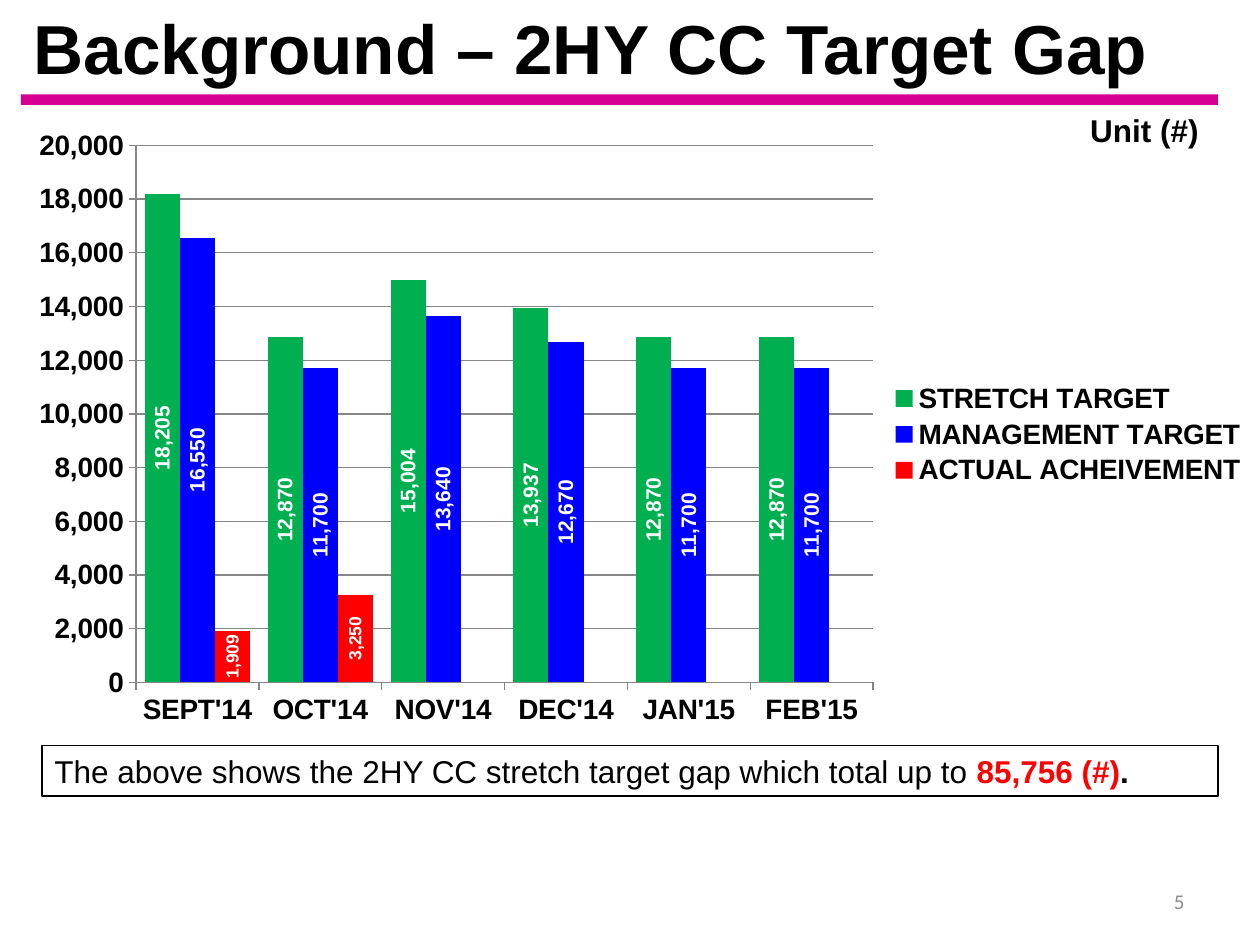
from lxml import etree
from pptx import Presentation
from pptx.chart.data import CategoryChartData
from pptx.dml.color import RGBColor
from pptx.enum.chart import XL_CHART_TYPE, XL_LABEL_POSITION, XL_LEGEND_POSITION, XL_TICK_MARK
from pptx.enum.shapes import MSO_SHAPE
from pptx.enum.text import MSO_ANCHOR, PP_ALIGN
from pptx.oxml.ns import qn
from pptx.util import Pt

COLUMNS = XL_CHART_TYPE.COLUMN_CLUSTERED
CENTER_LABEL = XL_LABEL_POSITION.CENTER
LEGEND_RIGHT = XL_LEGEND_POSITION.RIGHT
TICK_OUTSIDE, TICK_NONE = XL_TICK_MARK.OUTSIDE, XL_TICK_MARK.NONE
RECTANGLE = MSO_SHAPE.RECTANGLE
TOP, MIDDLE = MSO_ANCHOR.TOP, MSO_ANCHOR.MIDDLE
LEFT, CENTER, RIGHT = PP_ALIGN.LEFT, PP_ALIGN.CENTER, PP_ALIGN.RIGHT

# Content
TITLE = "Background – 2HY CC Target Gap"
UNIT = "Unit (#)"
PAGE_NUMBER = "5"
MONTHS = ["SEPT'14", "OCT'14", "NOV'14", "DEC'14", "JAN'15", "FEB'15"]
# Series: name, values, colour key, label size key
SERIES = [
    ("STRETCH TARGET", [18205, 12870, 15004, 13937, 12870, 12870], "stretch", "label"),
    ("MANAGEMENT TARGET", [16550, 11700, 13640, 12670, 11700, 11700], "management", "label"),
    ("ACTUAL ACHEIVEMENT", [1909, 3250, None, None, None, None], "red", "small_label"),
]
# Summary runs: text, colour key, bold
SUMMARY = [
    ("The above shows the 2HY CC stretch target gap which total up to ", "black", False),
    ("85,756 (#)", "red", True),
    (".", "black", True),
]

THEME = {
    "font": "Arial",
    "number_font": "Calibri",
    "colors": {name: RGBColor.from_string(value) for name, value in {
        "black": "000000", "white": "FFFFFF", "red": "FF0000", "rule": "D60093",
        "stretch": "00B050", "management": "0000FF", "gray": "8C8C8C", "grid": "868686",
    }.items()},
    "sizes": {"title": 39.6, "body": 18, "axis": 16, "label": 12, "small_label": 10, "page": 12},
}

# Places in points: left, top, width, height
PLACES = {
    "title": (12, 12, 708, 30),
    "rule": (12, 54, 684, 6),
    "summary": (24, 426, 672, 29),
    "page": (516, 500.5, 168, 28.75),
    "unit": (600, 60, 108, 29),
    "chart": (0, 66, 720, 364.5),
}
PLOT_LAYOUT = {"x": 0.108, "y": 0.047, "w": 0.585, "h": 0.842}  # shares of the chart


def place(part):
    return [Pt(length) for length in PLACES[part]]


def style_font(font, size, color="black", bold=True, name=THEME["font"]):
    font.name = name
    font.size = Pt(THEME["sizes"][size])
    font.bold = bold
    font.color.rgb = THEME["colors"][color]


def write(shape, runs, size, align=LEFT, anchor=TOP, name=THEME["font"]):
    frame = shape.text_frame
    frame.word_wrap = True
    frame.vertical_anchor = anchor
    paragraph = frame.paragraphs[0]
    paragraph.alignment = align
    for text, color, bold in runs:
        run = paragraph.add_run()
        run.text = text
        style_font(run.font, size, color, bold, name)


def add_rectangle(slide, part):
    rectangle = slide.shapes.add_shape(RECTANGLE, *place(part))
    rectangle.shadow.inherit = False
    return rectangle


def add_target_chart(slide):
    data = CategoryChartData(number_format="#,##0")
    data.categories = MONTHS
    for name, values, _, _ in SERIES:
        data.add_series(name, values)
    chart = slide.shapes.add_chart(COLUMNS, *place("chart"), data).chart
    chart.has_title = False
    style_font(chart.font, "body", bold=False, name=THEME["number_font"])

    # Legend
    chart.has_legend = True
    chart.legend.position = LEGEND_RIGHT
    chart.legend.include_in_layout = False
    style_font(chart.legend.font, "axis")

    # Axes and gridlines
    value_axis = chart.value_axis
    value_axis.minimum_scale, value_axis.maximum_scale = 0, 20000
    value_axis.major_unit = 2000
    value_axis.has_major_gridlines = True
    value_axis.tick_labels.number_format = "#,##0"
    value_axis.tick_labels.number_format_is_linked = False
    for axis in (chart.category_axis, value_axis):
        axis.major_tick_mark, axis.minor_tick_mark = TICK_OUTSIDE, TICK_NONE
        style_font(axis.tick_labels.font, "axis")
    for line in (chart.category_axis.format.line, value_axis.format.line,
                 value_axis.major_gridlines.format.line):
        line.color.rgb = THEME["colors"]["grid"]
        line.width = Pt(0.75)

    # Columns with upright labels
    plot = chart.plots[0]
    plot.gap_width, plot.overlap = 50, 0
    plot.vary_by_categories = False
    for series, (_, _, color, label_size) in zip(plot.series, SERIES):
        series.format.fill.solid()
        series.format.fill.fore_color.rgb = THEME["colors"][color]
        series.invert_if_negative = False
        labels = series.data_labels
        labels.show_value = True
        labels.position = CENTER_LABEL
        labels.number_format = "#,##0"
        labels.number_format_is_linked = False
        style_font(labels.font, label_size, "white")
        body = labels._element.find(".//" + qn("a:bodyPr"))
        body.set("rot", "-5400000")
        body.set("vert", "horz")

    # Fixed inner plot area
    plot_area = chart._chartSpace.find(".//" + qn("c:plotArea"))
    for old_layout in plot_area.findall(qn("c:layout")):
        plot_area.remove(old_layout)
    layout = etree.Element(qn("c:layout"))
    manual = etree.SubElement(layout, qn("c:manualLayout"))
    settings = [("layoutTarget", "inner"), ("xMode", "edge"), ("yMode", "edge")]
    for tag, value in settings + list(PLOT_LAYOUT.items()):
        etree.SubElement(manual, qn("c:" + tag)).set("val", str(value))
    plot_area.insert(0, layout)


def main():
    presentation = Presentation()
    presentation.slide_width, presentation.slide_height = Pt(720), Pt(540)
    slide = presentation.slides.add_slide(presentation.slide_layouts[5])

    # Title and rule
    title = slide.shapes.title
    title.left, title.top, title.width, title.height = place("title")
    write(title, [(TITLE, "black", True)], "title", anchor=MIDDLE)
    rule = add_rectangle(slide, "rule")
    rule.fill.solid()
    rule.fill.fore_color.rgb = THEME["colors"]["rule"]
    rule.line.fill.background()

    # Summary box
    summary = add_rectangle(slide, "summary")
    summary.fill.background()
    summary.line.color.rgb = THEME["colors"]["black"]
    summary.line.width = Pt(1)
    write(summary, SUMMARY, "body")

    # Page number and unit
    page = slide.shapes.add_textbox(*place("page"))
    write(page, [(PAGE_NUMBER, "gray", False)], "page", RIGHT, MIDDLE, THEME["number_font"])
    unit = slide.shapes.add_textbox(*place("unit"))
    write(unit, [(UNIT, "black", True)], "body", CENTER)

    add_target_chart(slide)
    presentation.save("out.pptx")


if __name__ == "__main__":
    main()
